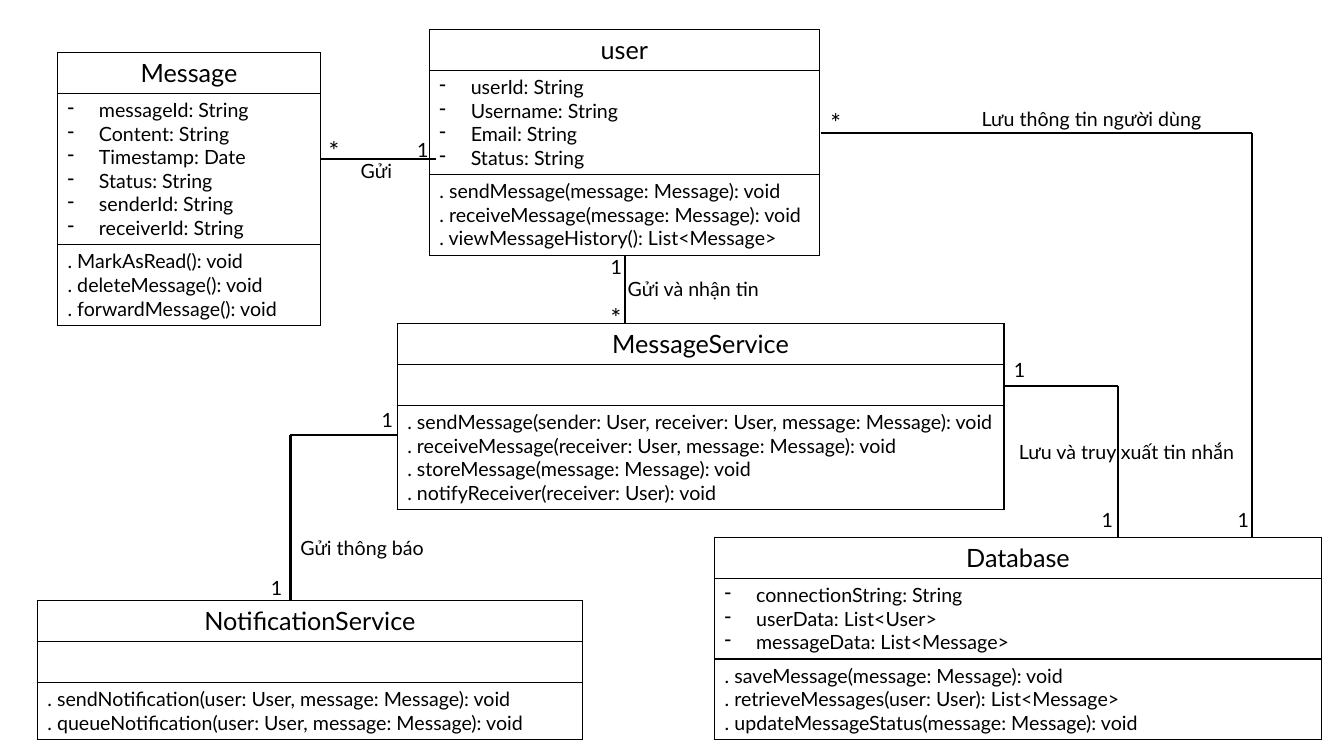
"""Build a UML class diagram slide for a messaging system."""
from itertools import pairwise

from lxml.etree import SubElement
from pptx import Presentation
from pptx.dml.color import RGBColor
from pptx.enum.shapes import MSO_CONNECTOR
from pptx.enum.text import MSO_AUTO_SIZE, PP_ALIGN
from pptx.oxml.ns import qn
from pptx.util import Cm, Pt

BLACK = RGBColor(0x00, 0x00, 0x00)
WHITE = RGBColor(0xFF, 0xFF, 0xFF)


class ClassDiagram:
    font = "Lato"
    title_size = 18
    body_size = 14
    title_height = 1.03
    line_height = 0.59
    cell_padding = 0.26

    def __init__(self, slide):
        self.slide = slide

    def add_text(self, paragraph, text, size):
        run = paragraph.add_run()
        run.text = text
        run.font.name = self.font
        run.font.size = Pt(size)
        run.font.color.rgb = BLACK

    def border(self, cell):
        properties = cell._tc.get_or_add_tcPr()
        for side in ("a:lnL", "a:lnR", "a:lnT", "a:lnB"):
            edge = SubElement(properties, qn(side), w=str(Pt(1)))
            paint = SubElement(edge, qn("a:solidFill"))
            SubElement(paint, qn("a:srgbClr"), val=str(BLACK))

    def dash(self, paragraph):
        properties = paragraph._p.get_or_add_pPr()
        properties.set("marL", str(Cm(0.79)))
        properties.set("indent", str(-Cm(0.79)))
        SubElement(properties, qn("a:buChar"), char="-")

    def uml_class(self, left, top, width, name, attributes, methods):
        sections = [[name], attributes, [f". {method}" for method in methods]]
        heights = [self.title_height] + [
            len(lines) * self.line_height + self.cell_padding if lines else self.title_height
            for lines in sections[1:]
        ]
        table = self.slide.shapes.add_table(
            3, 1, Cm(left), Cm(top), Cm(width), Cm(sum(heights))).table
        table.first_row = table.horz_banding = False
        for index, (lines, height) in enumerate(zip(sections, heights)):
            table.rows[index].height = Cm(height)
            cell = table.cell(index, 0)
            self.border(cell)
            cell.fill.solid()
            cell.fill.fore_color.rgb = WHITE
            for number, line in enumerate(lines):
                frame = cell.text_frame
                paragraph = frame.add_paragraph() if number else frame.paragraphs[0]
                if index == 0:
                    paragraph.alignment = PP_ALIGN.CENTER
                elif index == 1:
                    self.dash(paragraph)
                self.add_text(paragraph, line, self.body_size if index else self.title_size)

    def association(self, *points):
        for start, end in pairwise(points):
            line = self.slide.shapes.add_connector(
                MSO_CONNECTOR.STRAIGHT, *(Cm(value) for value in start + end))
            line.line.color.rgb = BLACK
            line.line.width = Pt(1.5)
            SubElement(line._element.spPr, qn("a:effectLst"))

    def label(self, left, top, width, text):
        many = text == "*"
        box = self.slide.shapes.add_textbox(
            Cm(left), Cm(top), Cm(width), Cm(1.02 if many else 0.86))
        frame = box.text_frame
        frame.word_wrap = True
        frame.auto_size = MSO_AUTO_SIZE.SHAPE_TO_FIT_TEXT
        self.add_text(frame.paragraphs[0], text, self.title_size if many else self.body_size)


CLASSES = [
    (10.82, 0.74, 9.83, "user",
     ["userId: String", "Username: String", "Email: String", "Status: String"],
     ["sendMessage(message: Message): void",
      "receiveMessage(message: Message): void",
      "viewMessageHistory(): List<Message>"]),
    (1.45, 1.32, 6.63, "Message",
     ["messageId: String", "Content: String", "Timestamp: Date",
      "Status: String", "senderId: String", "receiverId: String"],
     ["MarkAsRead(): void", "deleteMessage(): void", "forwardMessage(): void"]),
    (10.01, 8.15, 15.29, "MessageService", [],
     ["sendMessage(sender: User, receiver: User, message: Message): void",
      "receiveMessage(receiver: User, message: Message): void",
      "storeMessage(message: Message): void",
      "notifyReceiver(receiver: User): void"]),
    (0.94, 15.14, 13.74, "NotificationService", [],
     ["sendNotification(user: User, message: Message): void",
      "queueNotification(user: User, message: Message): void"]),
    (18.01, 13.54, 15.29, "Database",
     ["connectionString: String", "userData: List<User>", "messageData: List<Message>"],
     ["saveMessage(message: Message): void",
      "retrieveMessages(user: User): List<Message>",
      "updateMessageStatus(message: Message): void"]),
]

ASSOCIATIONS = [
    [(20.68, 3.35), (31.55, 3.35), (31.55, 13.54)],
    [(25.3, 9.73), (28.17, 9.73), (28.17, 13.54)],
    [(8.08, 4.01), (11, 4.01)],
    [(15.75, 6.43), (15.75, 8.15)],
    [(10.01, 10.97), (7.32, 10.97), (7.32, 15.14)],
]

LABELS = [
    (10.26, 3.35, 0.56, "1"),
    (8.03, 3.28, 1.73, "*"),
    (8.84, 3.89, 1.93, "Gửi"),
    (15.14, 6.3, 1.8, "1"),
    (15.14, 7.49, 1.8, "*"),
    (15.57, 6.86, 4.5, "Gửi và nhận tin"),
    (20.68, 2.57, 1.6, "*"),
    (30.94, 12.67, 0.53, "1"),
    (24.49, 2.57, 7.34, "Lưu thông tin người dùng"),
    (25.3, 8.89, 1.93, "1"),
    (27.51, 12.67, 1.55, "1"),
    (25.43, 10.97, 6.4, "Lưu và truy xuất tin nhắn"),
    (9.37, 10.16, 1.52, "1"),
    (6.58, 14.4, 2.11, "1"),
    (7.32, 13.39, 5.61, "Gửi thông báo"),
]


def main():
    deck = Presentation()
    deck.slide_width, deck.slide_height = Cm(33.87), Cm(19.05)
    diagram = ClassDiagram(deck.slides.add_slide(deck.slide_layouts[6]))
    for uml_class in CLASSES:
        diagram.uml_class(*uml_class)
    for points in ASSOCIATIONS:
        diagram.association(*points)
    for label in LABELS:
        diagram.label(*label)
    deck.save("out.pptx")


if __name__ == "__main__":
    main()
